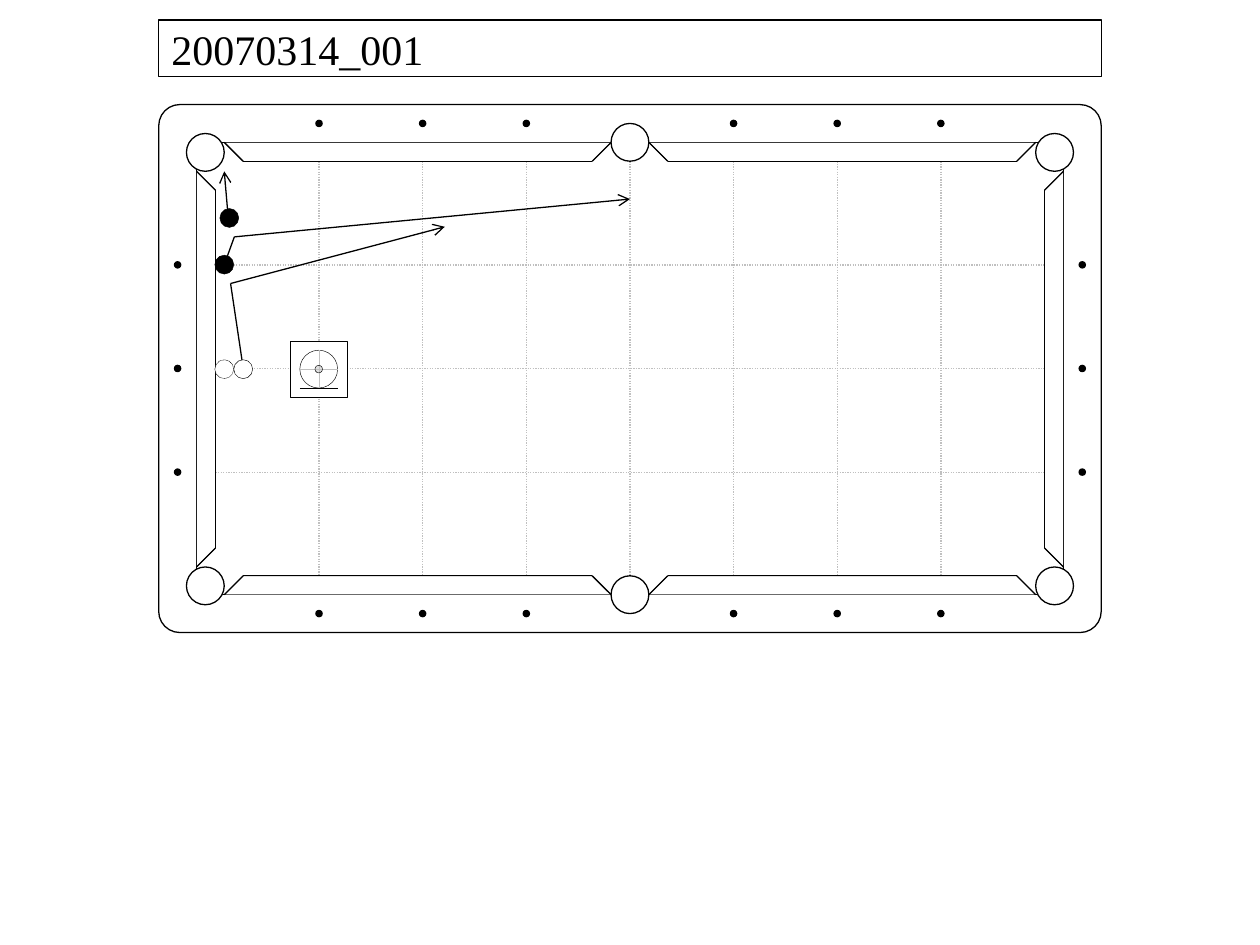
"""Build a billiard table diagram with ball positions and shot lines."""
from lxml.etree import SubElement
from pptx import Presentation
from pptx.dml.color import RGBColor
from pptx.enum.dml import MSO_LINE
from pptx.enum.shapes import MSO_CONNECTOR, MSO_SHAPE
from pptx.enum.text import MSO_ANCHOR, MSO_AUTO_SIZE, PP_ALIGN
from pptx.oxml.ns import qn
from pptx.util import Inches, Pt

THEME = {
    "ink": RGBColor(0, 0, 0),
    "paper": RGBColor(255, 255, 255),
    "guide": RGBColor(192, 192, 192),
    "font": "Times New Roman",
    "title": Pt(24),
    "thin": Pt(0.25),
    "thick": Pt(0.75),
}
TITLE = "20070314_001"
TITLE_BOX = (1.26, 0.16, 7.48, 0.45)
FRAME = (1.26, 0.83, 7.48, 4.19)
BED = (1.56, 1.13, 6.88, 3.59)
LEFT, TOP, RIGHT, BOTTOM = 1.71, 1.28, 8.29, 4.57
CUSHION, POCKET, SPOT, BALL = 0.15, 0.30, 0.06, 0.15
COLUMNS, ROWS = 8, 4
POCKETS = [(x, y) for x in (1.63, 8.37) for y in (1.21, 4.65)] + [(5, 1.13), (5, 4.72)]
SPOT_ROWS, SPOT_COLUMNS = (0.98, 4.87), (1.41, 8.59)
LONG_CUSHIONS = [(1.78, 4.85), (5.15, 8.22)]
SIDE_CUSHION = (1.36, 4.5)

OBJECT_BALLS = [(1.78, 2.1), (1.82, 1.73)]
GHOST_BALL, CUE_BALL = (1.78, 2.93), (1.93, 2.93)
SHOTS = [
    [(1.78, 2.1), (1.86, 1.88), (5, 1.58)],
    [(1.93, 2.92), (1.83, 2.25), (3.53, 1.8)],
    [(1.81, 1.71), (1.78, 1.36)],
]
HIT_POINT, HIT_BOX, HIT_BALL = (2.53, 2.93), 0.45, 0.3


def style_outline(shape, width, fill="paper"):
    shape.shadow.inherit = False
    shape.fill.solid()
    shape.fill.fore_color.rgb = THEME[fill]
    if width is None:
        shape.line.fill.background()
    else:
        shape.line.color.rgb = THEME["ink"]
        shape.line.width = THEME[width]
    return shape


def add_preset(page, kind, bounds, width, fill="paper"):
    shape = page.shapes.add_shape(kind, *map(Inches, bounds))
    return style_outline(shape, width, fill)


def add_centred(page, kind, centre, size, width, fill="paper"):
    x, y = centre
    bounds = (x - size / 2, y - size / 2, size, size)
    return add_preset(page, kind, bounds, width, fill)


def add_circle(page, centre, size, width, fill="paper"):
    return add_centred(page, MSO_SHAPE.OVAL, centre, size, width, fill)


def add_line(page, start, end, color="ink", width="thick", dash=None, arrow=False):
    line = page.shapes.add_connector(MSO_CONNECTOR.STRAIGHT, *map(Inches, start + end))
    line.line.color.rgb = THEME[color]
    line.line.width = THEME[width]
    if dash:
        line.line.dash_style = dash
    if arrow:
        SubElement(line.line._get_or_add_ln(), qn("a:tailEnd"), type="arrow")
    SubElement(line._element.spPr, qn("a:effectLst"))


def add_path(page, points, arrow=False):
    for start, end in zip(points, points[1:]):
        add_line(page, start, end, arrow=arrow and end == points[-1])


def add_cushion(page, points):
    corners = [(Inches(x), Inches(y)) for x, y in points]
    builder = page.shapes.build_freeform(*corners[0])
    builder.add_line_segments(corners[1:], close=True)
    style_outline(builder.convert_to_shape(), "thin")
    add_path(page, points)


def add_title(page):
    title = page.shapes.title
    title.left, title.top, title.width, title.height = map(Inches, TITLE_BOX)
    title.line.color.rgb = THEME["ink"]
    title.line.width = THEME["thick"]
    frame = title.text_frame
    frame.text = TITLE
    frame.auto_size = MSO_AUTO_SIZE.NONE
    frame.vertical_anchor = MSO_ANCHOR.MIDDLE
    paragraph = frame.paragraphs[0]
    paragraph.alignment = PP_ALIGN.LEFT
    font = paragraph.runs[0].font
    font.name, font.size, font.color.rgb = THEME["font"], THEME["title"], THEME["ink"]


def add_table_surface(page):
    frame = add_preset(page, MSO_SHAPE.ROUNDED_RECTANGLE, FRAME, "thick")
    frame.adjustments[0] = 0.04
    add_preset(page, MSO_SHAPE.RECTANGLE, BED, "thin")
    columns = [LEFT + i * (RIGHT - LEFT) / COLUMNS for i in range(1, COLUMNS)]
    rows = [TOP + i * (BOTTOM - TOP) / ROWS for i in range(1, ROWS)]
    guides = [((x, TOP), (x, BOTTOM)) for x in columns]
    guides += [((LEFT, y), (RIGHT, y)) for y in rows]
    for start, end in guides:
        add_line(page, start, end, "guide", dash=MSO_LINE.ROUND_DOT)
    for centre in POCKETS:
        add_circle(page, centre, POCKET, "thick")
    spots = [(x, y) for y in SPOT_ROWS for x in columns if x != columns[COLUMNS // 2 - 1]]
    spots += [(x, y) for x in SPOT_COLUMNS for y in rows]
    for centre in spots:
        add_circle(page, centre, SPOT, None, "ink")


def add_cushions(page):
    for inner, side in ((TOP, -1), (BOTTOM, 1)):
        outer = inner + side * CUSHION
        for start, end in LONG_CUSHIONS:
            add_cushion(page, [(start, outer), (start + CUSHION, inner),
                               (end - CUSHION, inner), (end, outer)])
    start, end = SIDE_CUSHION
    for inner, side in ((LEFT, -1), (RIGHT, 1)):
        outer = inner + side * CUSHION
        add_cushion(page, [(outer, start), (inner, start + CUSHION),
                           (inner, end - CUSHION), (outer, end)])


def add_hit_point(page):
    x, y = HIT_POINT
    radius = HIT_BALL / 2
    add_centred(page, MSO_SHAPE.RECTANGLE, HIT_POINT, HIT_BOX, "thin")
    add_circle(page, HIT_POINT, HIT_BALL, "thin")
    add_line(page, (x - radius, y), (x + radius, y), "guide", "thin")
    add_line(page, (x - radius, y + radius), (x + radius, y + radius), width="thin")
    add_line(page, (x, y - radius), (x, y + radius), "guide", "thin")
    tip = add_circle(page, HIT_POINT, SPOT, "thin", "guide")
    color = tip._element.spPr.find(qn("a:solidFill")).find(qn("a:srgbClr"))
    SubElement(color, qn("a:alpha"), val="50000")


def main():
    deck = Presentation()
    deck.slide_width, deck.slide_height = Inches(10), Inches(7.5)
    page = deck.slides.add_slide(deck.slide_layouts[5])
    add_title(page)
    add_table_surface(page)
    add_cushions(page)
    ghost = add_circle(page, GHOST_BALL, BALL, "thin")
    ghost.line.dash_style = MSO_LINE.ROUND_DOT
    for centre in OBJECT_BALLS:
        add_circle(page, centre, BALL, "thin", "ink")
    for points in SHOTS:
        add_path(page, points, arrow=True)
    add_hit_point(page)
    add_circle(page, CUE_BALL, BALL, "thin")
    deck.save("out.pptx")


if __name__ == "__main__":
    main()
